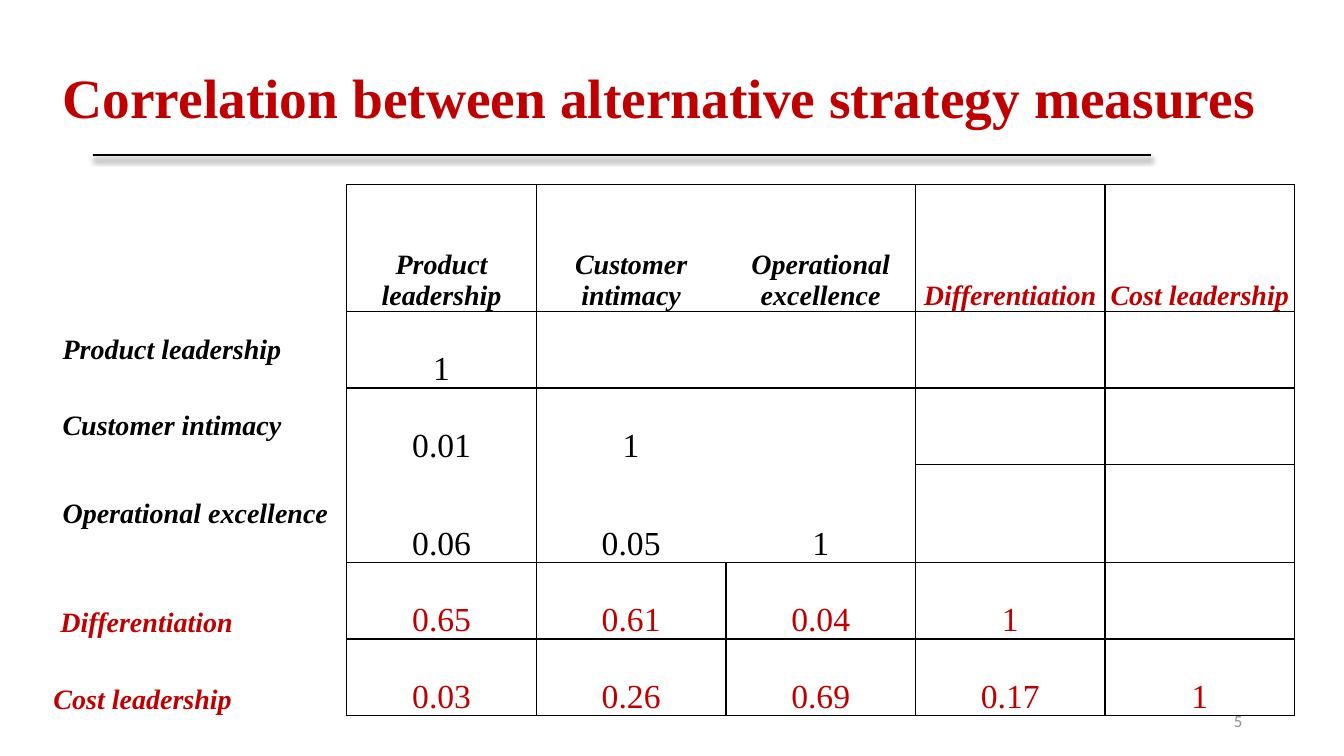
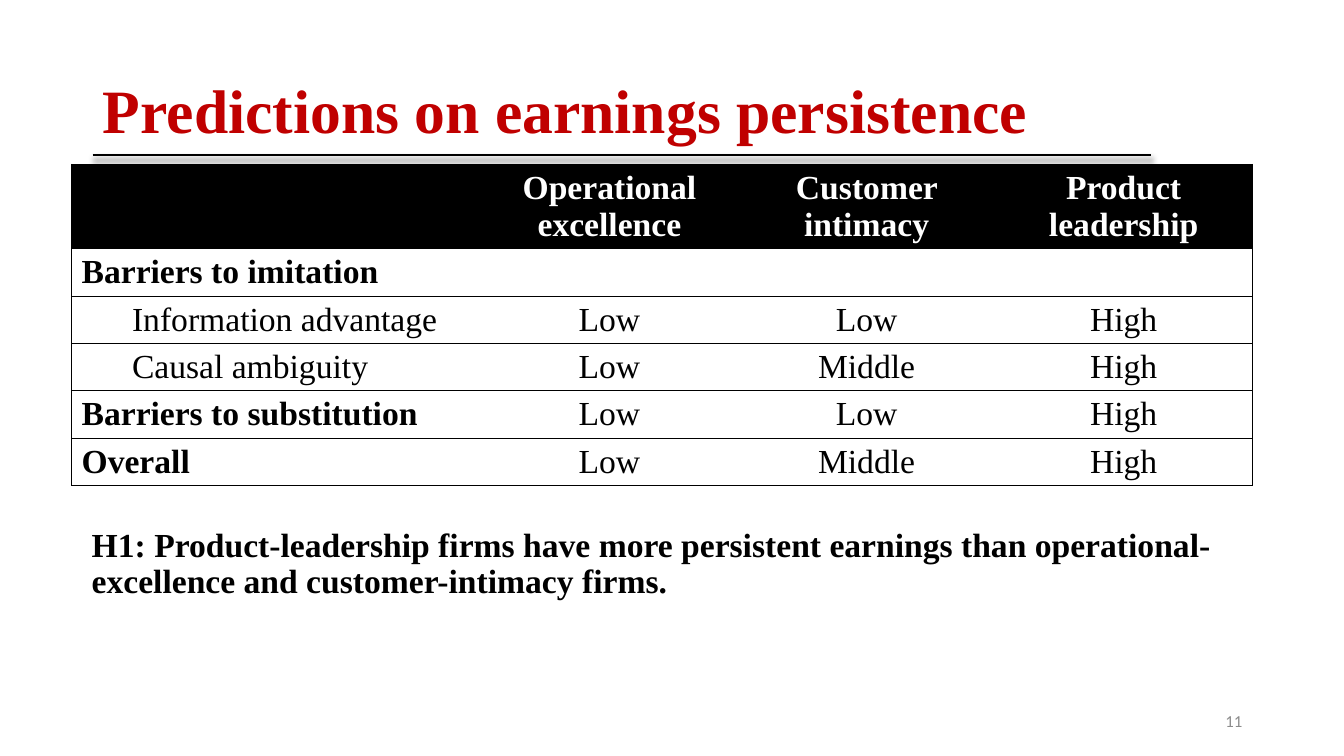
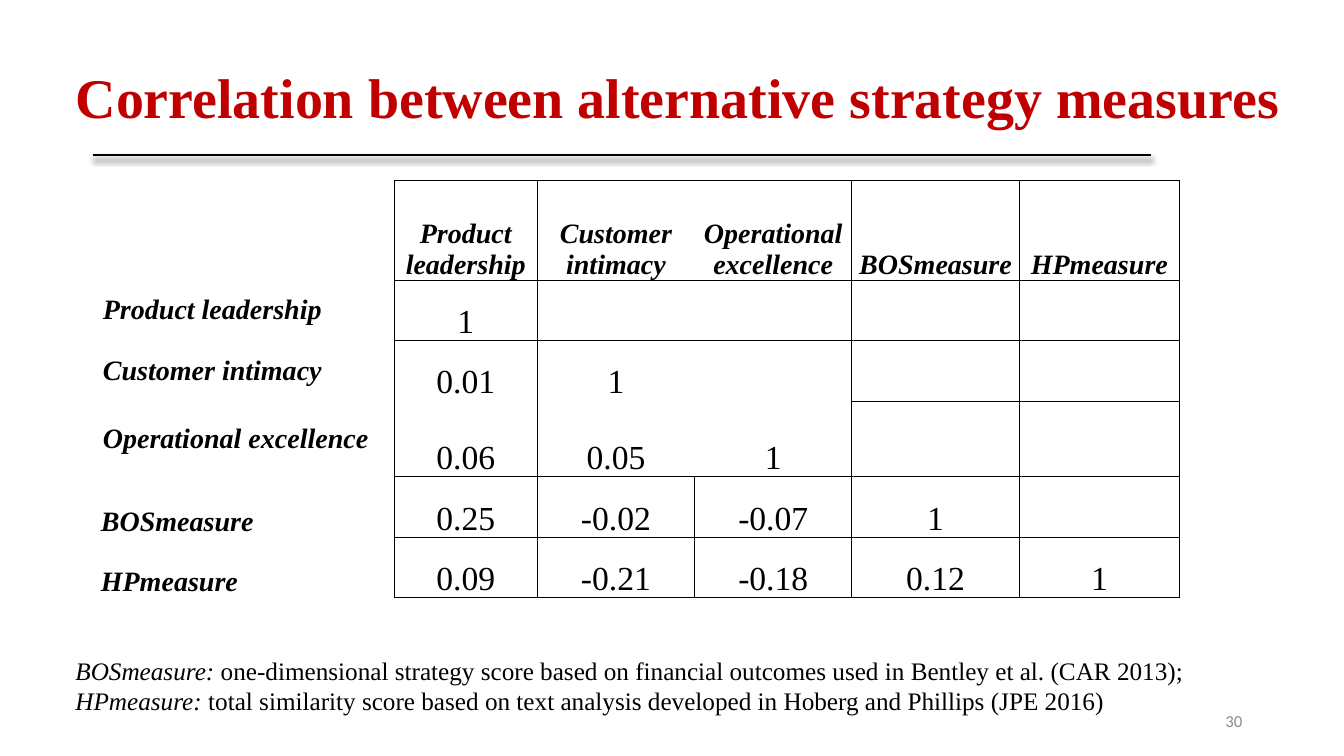
"""Build three slides on strategy measures and earnings persistence."""
from lxml import etree
from pptx import Presentation
from pptx.dml.color import RGBColor
from pptx.enum import shapes, text
from pptx.oxml import parse_xml
from pptx.oxml.ns import nsdecls, qn
from pptx.util import Inches, Pt

BLACK = RGBColor(0x00, 0x00, 0x00)
WHITE = RGBColor(0xFF, 0xFF, 0xFF)
RED = RGBColor(0xC0, 0x00, 0x00)
GRAY = RGBColor(0x8C, 0x8C, 0x8C)
SERIF = "Times New Roman"
PLAIN_TABLE = "{2D5ABB26-0587-4C30-8999-92F81FD0307C}"
LEFT, CENTER, RIGHT = text.PP_ALIGN.LEFT, text.PP_ALIGN.CENTER, text.PP_ALIGN.RIGHT
TOP, MIDDLE, BOTTOM = text.MSO_ANCHOR.TOP, text.MSO_ANCHOR.MIDDLE, text.MSO_ANCHOR.BOTTOM

STRATEGIES = ["Product leadership", "Customer intimacy", "Operational excellence"]
SHARED_VALUES = [["1"], ["0.01", "1"], ["0.06", "0.05", "1"]]
CORRELATIONS = [
    dict(
        number="5", title_box=(0.52, 0.4, 12.33, 1.2), title_size=39.6,
        measures=["Differentiation", "Cost leadership"], accent=RED, label_insets=[0.08, 0.01],
        values=[["0.65", "0.61", "0.04", "1"], ["0.03", "0.26", "0.69", "0.17", "1"]],
        corner=(0.52, 1.83), widths=[2.92] + [1.88] * 5,
        heights=[1.26, 0.76, 0.76, 0.97, 0.76, 0.76],
        extra_verticals={}, extra_horizontals={}, notes=[],
    ),
    dict(
        number="30", title_box=(0.65, 0.4, 12.27, 1.2), title_size=40,
        measures=["BOSmeasure", "HPmeasure"], accent=BLACK, label_insets=[0.08, 0.08],
        values=[["0.25", "-0.02", "-0.07", "1"], ["0.09", "-0.21", "-0.18", "0.12", "1"]],
        corner=(0.92, 1.79), widths=[2.99, 1.42, 1.56, 1.56, 1.66, 1.59],
        heights=[0.99, 0.6, 0.6, 0.75, 0.6, 0.6],
        extra_verticals={5: range(6)}, extra_horizontals={5: range(1, 6)},
        notes=[
            ("BOSmeasure:", " one-dimensional strategy score based on financial outcomes"
             " used in Bentley et al. (CAR 2013);"),
            ("HPmeasure:", " total similarity score based on text analysis"
             " developed in Hoberg and Phillips (JPE 2016)"),
        ],
    ),
]
PREDICTIONS = [
    ["", "Operational excellence", "Customer intimacy", "Product leadership"],
    ["Barriers to imitation", "", "", ""],
    ["Information advantage", "Low", "Low", "High"],
    ["Causal ambiguity", "Low", "Middle", "High"],
    ["Barriers to substitution", "Low", "Low", "High"],
    ["Overall", "Low", "Middle", "High"],
]
SUBFACTORS = (2, 3)
HYPOTHESIS = ("H1: Product-leadership firms have more persistent earnings than "
              "operational-excellence and customer-intimacy firms.")


def write(paragraph, words, size=24, color=BLACK, bold=False, italic=False,
          font=SERIF, align=LEFT, spacing=None, before=None):
    """Append a formatted run to a paragraph."""
    paragraph.alignment = align
    if spacing:
        paragraph.line_spacing = spacing
    if before is not None:
        paragraph.space_before = Pt(before)
    run = paragraph.add_run()
    run.text = words
    run.font.name, run.font.size = font, Pt(size)
    run.font.bold, run.font.italic = bold, italic
    run.font.color.rgb = color


def place(shape, box, anchor):
    """Position a text shape and return its first paragraph."""
    shape.left, shape.top, shape.width, shape.height = map(Inches, box)
    frame = shape.text_frame
    frame.word_wrap = True
    frame.auto_size = text.MSO_AUTO_SIZE.NONE
    frame.vertical_anchor = anchor
    return frame.paragraphs[0]


def add_page(deck, layout, title, box, size, number):
    """Add a slide with its title and page number."""
    slide = deck.slides.add_slide(deck.slide_layouts[layout])
    write(place(slide.shapes.title, box, MIDDLE), title, size, RED, bold=True, spacing=0.9)
    page_number = slide.shapes.add_textbox(0, 0, 0, 0)
    write(place(page_number, (9.42, 6.95, 3, 0.4), MIDDLE), number, 12, GRAY,
          font="Calibri", align=RIGHT)
    return slide


def add_master_rule(deck, slide):
    """Draw the shadowed title rule and move it to the master."""
    rule = slide.shapes.add_connector(shapes.MSO_CONNECTOR.STRAIGHT, Inches(0.92), Inches(1.54),
                                      Inches(11.42), Inches(1.54))
    rule.line.color.rgb, rule.line.width = BLACK, Pt(1.5)
    rule._element.spPr.append(parse_xml(
        f'<a:effectLst {nsdecls("a")}><a:outerShdw blurRad="{Pt(4)}" dist="{Pt(3)}" '
        'dir="5400000" algn="t" rotWithShape="0"><a:srgbClr val="000000">'
        '<a:alpha val="40000"/></a:srgbClr></a:outerShdw></a:effectLst>'))
    deck.slide_master.shapes._spTree.append(rule._element)


def add_grid(slide, corner, widths, heights, verticals, horizontals, weight):
    """Add a plain table ruled along the given edges and yield its cells."""
    table = slide.shapes.add_table(
        len(heights), len(widths), *map(Inches, (*corner, sum(widths), sum(heights)))).table
    table.first_row = table.horz_banding = False
    table._tbl.tblPr.find(qn("a:tableStyleId")).text = PLAIN_TABLE
    for column, width in zip(table.columns, widths):
        column.width = Inches(width)
    for row, height in zip(table.rows, heights):
        row.height = Inches(height)
    for r in range(len(heights)):
        for c in range(len(widths)):
            cell = table.cell(r, c)
            ruled = {
                "lnL": r in verticals.get(c, ()), "lnR": r in verticals.get(c + 1, ()),
                "lnT": c in horizontals.get(r, ()), "lnB": c in horizontals.get(r + 1, ()),
            }
            for side, shown in ruled.items():
                if shown:
                    edge = etree.SubElement(cell._tc.get_or_add_tcPr(), qn(f"a:{side}"),
                                            w=str(Pt(weight)))
                    ink = etree.SubElement(edge, qn("a:solidFill"))
                    etree.SubElement(ink, qn("a:srgbClr"), val=str(BLACK))
            cell.fill.solid()
            cell.fill.fore_color.rgb = WHITE
            yield r, c, cell


def add_correlations(deck, page):
    """Add one correlation matrix slide."""
    slide = add_page(deck, 5, "Correlation between alternative strategy measures",
                     page["title_box"], page["title_size"], page["number"])
    names = STRATEGIES + page["measures"]
    rows = [[""] + names] + [
        [name] + values for name, values in zip(names, SHARED_VALUES + page["values"])]
    verticals = {1: range(6), 2: range(4, 6), 4: range(6), 6: range(6), **page["extra_verticals"]}
    horizontals = {edge: range(1, 6) for edge in (0, 1, 4, 6)}
    horizontals.update({2: range(4, 6), **page["extra_horizontals"]})
    for r, c, cell in add_grid(slide, page["corner"], page["widths"], page["heights"],
                               verticals, horizontals, 1):
        if c >= len(rows[r]) or not rows[r][c]:
            continue
        strategy_label = c == 0 and r < 4
        cell.vertical_anchor = MIDDLE if strategy_label else BOTTOM
        if not strategy_label:
            cell.margin_left = cell.margin_right = cell.margin_top = Inches(0.01)
            cell.margin_bottom = 0
            if c == 0:
                cell.margin_left = Inches(page["label_insets"][r - 4])
        heading = r == 0 or c == 0
        write(cell.text_frame.paragraphs[0], rows[r][c], 20 if heading else 24,
              page["accent"] if max(r, c) >= 4 else BLACK, bold=heading, italic=heading,
              align=CENTER if c else LEFT, spacing=None if heading else 1.07)
    if page["notes"]:
        frame = slide.shapes.add_textbox(0, 0, 0, 0).text_frame
        paragraph = place(slide.shapes[-1], (0.65, 6.45, 12.27, 0.71), TOP)
        for index, (measure, meaning) in enumerate(page["notes"]):
            paragraph = frame.add_paragraph() if index else paragraph
            write(paragraph, measure, 18, italic=True)
            write(paragraph, meaning, 18)
    return slide


def add_predictions(deck):
    """Add the earnings persistence slide."""
    slide = add_page(deck, 1, "Predictions on earnings persistence",
                     (0.92, 0.4, 11.5, 1.45), 44, "11")
    hypothesis = place(slide.placeholders[1], (0.81, 5.19, 11.6, 1.32), TOP)
    write(hypothesis, HYPOTHESIS, bold=True, spacing=0.9, before=10)
    properties = hypothesis._p.get_or_add_pPr()
    properties.set("marL", "0")
    properties.set("indent", "0")
    etree.SubElement(properties, qn("a:buNone"))
    for r, c, cell in add_grid(slide, (0.71, 1.63), [4.06] + [2.55] * 3, [0.83] + [0.47] * 5,
                               {0: range(6), 4: range(6)},
                               {edge: range(4) for edge in range(7)}, 0.5):
        if r == 0:
            cell.fill.fore_color.rgb = BLACK
        if c == 0 and r in SUBFACTORS:
            cell.margin_left = Inches(0.6)
        if PREDICTIONS[r][c]:
            write(cell.text_frame.paragraphs[0], PREDICTIONS[r][c],
                  color=BLACK if r else WHITE, align=CENTER if c else LEFT,
                  bold=r == 0 or (c == 0 and r not in SUBFACTORS))


def main():
    """Assemble and save the deck."""
    deck = Presentation()
    deck.slide_width, deck.slide_height = Inches(13.33), Inches(7.5)
    first = add_correlations(deck, CORRELATIONS[0])
    add_master_rule(deck, first)
    add_predictions(deck)
    add_correlations(deck, CORRELATIONS[1])
    deck.save("out.pptx")


if __name__ == "__main__":
    main()
